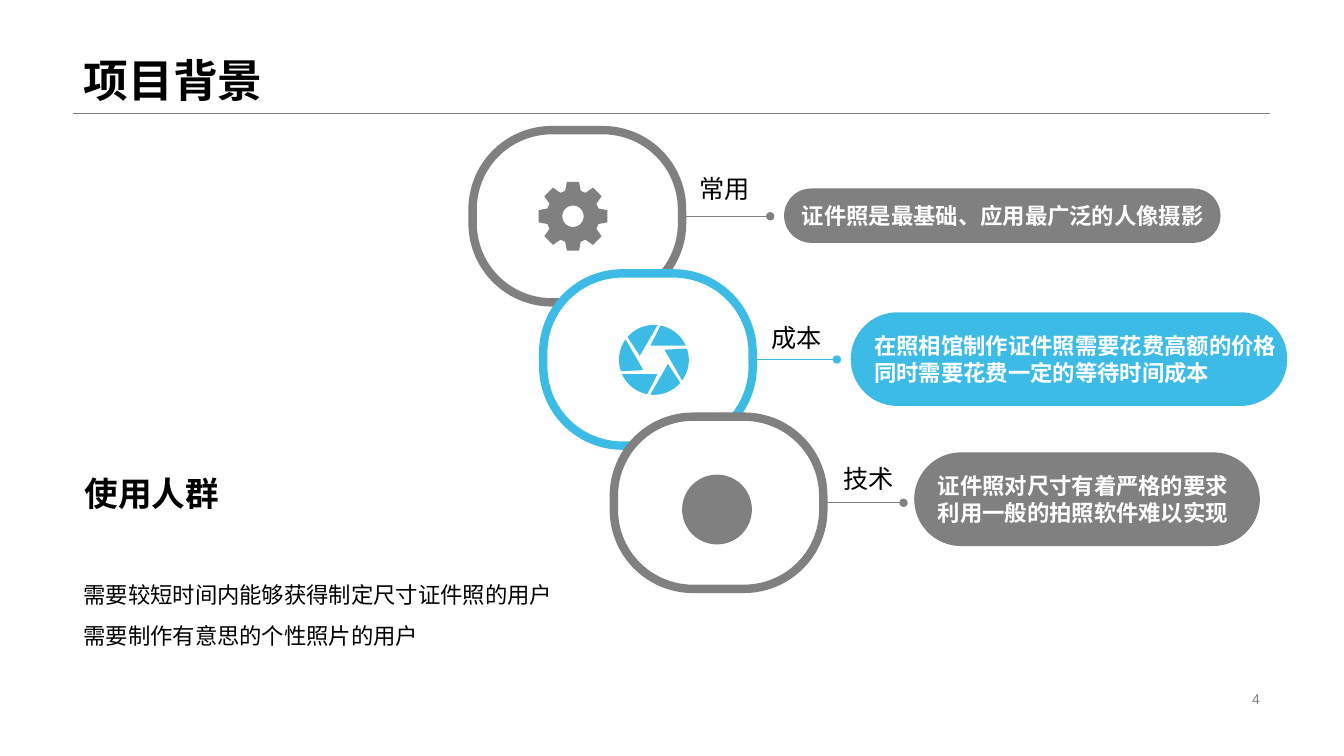
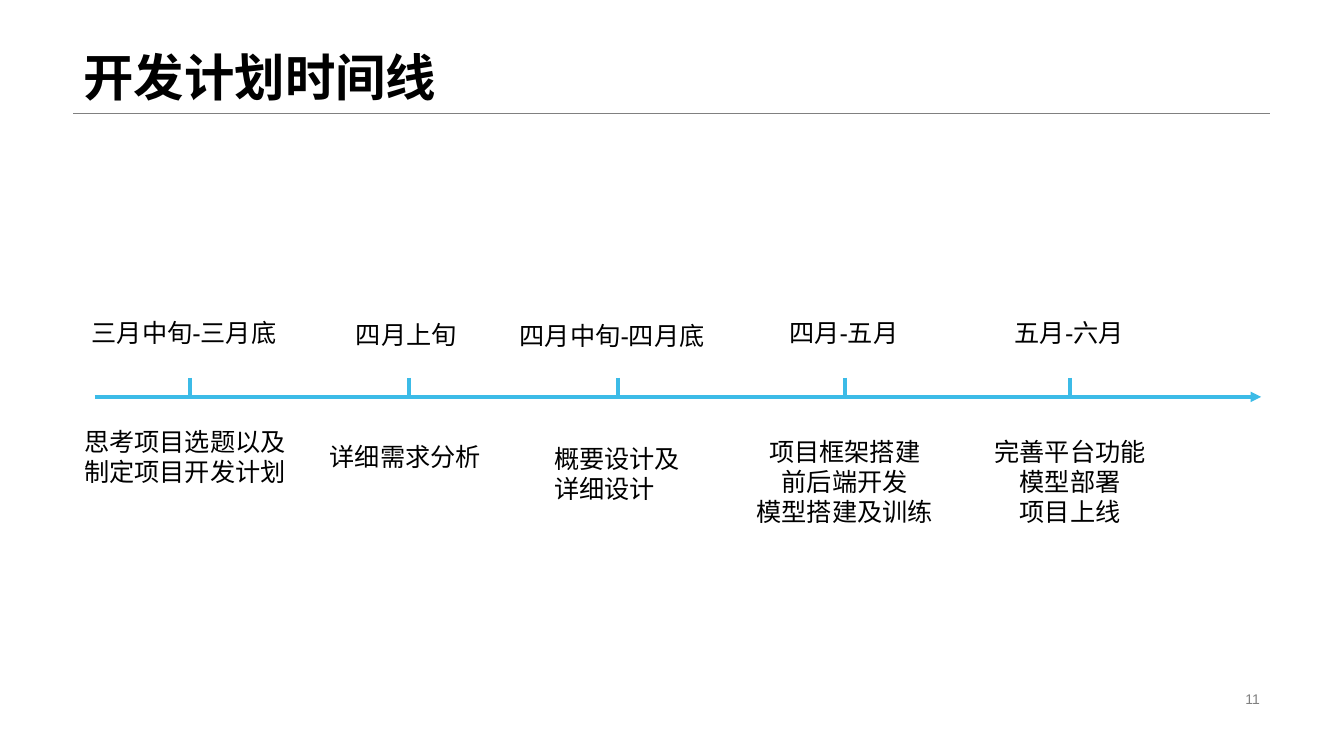
from dataclasses import dataclass
from math import cos, radians, sin

from lxml.etree import SubElement
from pptx import Presentation
from pptx.dml.color import RGBColor
from pptx.enum.lang import MSO_LANGUAGE_ID
from pptx.enum.shapes import MSO_CONNECTOR, MSO_SHAPE
from pptx.enum.text import MSO_ANCHOR, MSO_AUTO_SIZE, PP_ALIGN
from pptx.oxml.ns import qn
from pptx.util import Cm, Pt


# Theme: every colour and type size
@dataclass(frozen=True)
class Theme:
    font: str = "Arial"
    ink: RGBColor = RGBColor(0x00, 0x00, 0x00)
    paper: RGBColor = RGBColor(0xFF, 0xFF, 0xFF)
    grey: RGBColor = RGBColor(0x80, 0x80, 0x80)
    blue: RGBColor = RGBColor(0x3C, 0xBB, 0xE7)
    long_title: int = 36
    title: int = 32
    heading: int = 24
    label: int = 18
    body: int = 16
    number: int = 10


THEME = Theme()


def assign(target, formats):
    for name, value in formats.items():
        setattr(target, name, value)


def polar(radius, degrees):
    return radius * cos(radians(degrees)), radius * sin(radians(degrees))


def gear_outlines(radius=0.88, teeth=8):
    """Toothed rim and round hole, as points around the centre."""
    root, hole = 0.67, 0.27
    rim = [
        polar(distance, tooth * 360 / teeth + angle)
        for tooth in range(teeth)
        for distance, angle in ((root, -17), (radius, -10), (radius, 10), (root, 17))
    ]
    return [rim, [polar(hole, angle) for angle in range(0, 360, 10)]]


def aperture_outlines(radius=0.88, blades=6):
    """Shutter blades, each an arc of the rim drawn to an inner tip."""
    return [
        [polar(0.37, 196 + turn)] + [polar(radius, angle + turn) for angle in range(221, 277, 5)]
        for turn in range(0, 360, 360 // blades)
    ]


class Deck:
    """Holds the style and the slide being built; lengths are in centimetres."""

    CONTENT_LAYOUT, TITLE_LAYOUT = 1, 5
    LEFT, RIGHT, RULE_Y = 1.85, 32, 2.84

    def __init__(self, theme):
        self.theme = theme
        self.deck = Presentation()
        assign(self.deck, {"slide_width": Cm(33.87), "slide_height": Cm(19.05)})
        self.slide = None
        self.place(
            self.deck.slide_master.placeholders[0],
            (self.LEFT, 0, self.RIGHT - self.LEFT, self.RULE_Y),
        )

    # Shared helpers
    @staticmethod
    def place(element, box):
        assign(element, dict(zip(("left", "top", "width", "height"), map(Cm, box))))

    def set_lines(self, frame, lines, size, color=None, bold=False, frame_format=None, **paragraph_format):
        assign(frame, {"word_wrap": True, "auto_size": MSO_AUTO_SIZE.NONE} | (frame_format or {}))
        font_format = {
            "name": self.theme.font,
            "size": Pt(size),
            "bold": bold,
            "language_id": MSO_LANGUAGE_ID.SIMPLIFIED_CHINESE,
        }
        for index, line in enumerate(lines):
            paragraph = frame.paragraphs[0] if index == 0 else frame.add_paragraph()
            assign(paragraph, {"alignment": PP_ALIGN.LEFT} | paragraph_format)
            run = paragraph.add_run()
            run.text = line
            assign(run.font, font_format)
            run.font.color.rgb = self.theme.ink if color is None else color

    @staticmethod
    def paint(element, fill, outline=None, weight=0):
        element.shadow.inherit = False
        element.fill.solid()
        element.fill.fore_color.rgb = fill
        if outline is None:
            element.line.fill.background()
        else:
            element.line.color.rgb = outline
            element.line.width = Pt(weight)

    # Slide frame
    def new_slide(self, title, number, title_size, layout):
        first = self.slide is None
        self.slide = self.deck.slides.add_slide(self.deck.slide_layouts[layout])
        if first:
            rule = self.line((self.LEFT, self.RULE_Y), (self.RIGHT, self.RULE_Y), self.theme.grey, 0.25)
            self.deck.slide_master.shapes._spTree.append(rule._element)
        self.set_lines(
            self.slide.shapes.title.text_frame, [title], title_size, bold=True,
            frame_format={"vertical_anchor": MSO_ANCHOR.BOTTOM}, line_spacing=0.9,
        )
        self.text(
            (23.92, 17.32, 8.08, 0.58), [number], self.theme.number, color=self.theme.grey,
            frame_format={"vertical_anchor": MSO_ANCHOR.MIDDLE}, alignment=PP_ALIGN.RIGHT,
        )

    # Text
    def text(self, box, lines, size, **formats):
        block = self.slide.shapes.add_textbox(*map(Cm, box))
        self.set_lines(block.text_frame, lines, size, **formats)

    def body(self, box, lines):
        audience = self.slide.placeholders[1]
        self.place(audience, box)
        self.set_lines(
            audience.text_frame, lines, self.theme.body,
            frame_format={"vertical_anchor": MSO_ANCHOR.MIDDLE},
            line_spacing=1.5, space_before=Pt(0),
        )
        for paragraph in audience.text_frame.paragraphs:
            properties = paragraph._p.get_or_add_pPr()
            for name in ("marL", "indent"):
                properties.set(name, "0")
            SubElement(properties, qn("a:buNone"))

    # Lines and shapes
    def line(self, start, end, color, weight, tail=None):
        connector = self.slide.shapes.add_connector(MSO_CONNECTOR.STRAIGHT, *map(Cm, start + end))
        connector.line.color.rgb = color
        connector.line.width = Pt(weight)
        if tail:
            SubElement(connector.line._get_or_add_ln(), qn("a:tailEnd"), type=tail)
        SubElement(connector._element.spPr, qn("a:effectLst"))
        return connector

    def ring(self, box, color):
        ring = self.slide.shapes.add_shape(MSO_SHAPE.ROUNDED_RECTANGLE, *map(Cm, box))
        ring.adjustments[0] = 0.46
        self.paint(ring, self.theme.paper, color, 6)

    def pill(self, box, lines, color):
        pill = self.slide.shapes.add_shape(MSO_SHAPE.ROUNDED_RECTANGLE, *map(Cm, box))
        pill.adjustments[0] = 0.5
        self.paint(pill, color)
        self.set_lines(
            pill.text_frame, lines, self.theme.body, color=self.theme.paper, bold=True,
            frame_format={"word_wrap": False, "vertical_anchor": MSO_ANCHOR.MIDDLE},
        )

    def disc(self, center, color, radius=0.88):
        x, y = center
        box = (x - radius, y - radius, 2 * radius, 2 * radius)
        self.paint(self.slide.shapes.add_shape(MSO_SHAPE.OVAL, *map(Cm, box)), color)

    def icon(self, center, outlines, color):
        x, y = center
        contours = [[(Cm(x + dx), Cm(y + dy)) for dx, dy in outline] for outline in outlines]
        builder = self.slide.shapes.build_freeform(*contours[0][0])
        for index, (start, *rest) in enumerate(contours):
            if index:
                builder.move_to(*start)
            builder.add_line_segments(rest, close=True)
        self.paint(builder.convert_to_shape(), color)


# Project background: three linked reasons and the audience
def background_slide(deck):
    theme = deck.theme
    deck.new_slide("项目背景", "4", theme.title, deck.CONTENT_LAYOUT)
    reasons = [
        # label, its box, statement, its box, colour, icon centre, icon outlines
        ("常用", (17.37, 4.24, 1.83, 1.02), ["证件照是最基础、应用最广泛的人像摄影"],
         (19.76, 4.75, 11, 1.37), theme.grey, (14.44, 5.45), gear_outlines()),
        ("成本", (19.2, 8, 2.03, 1.02), ["在照相馆制作证件照需要花费高额的价格", "同时需要花费一定的等待时间成本"],
         (21.44, 7.87, 11, 2.36), theme.blue, (16.48, 9.07), aperture_outlines()),
        ("技术", (21.01, 11.56, 2.03, 1.02), ["证件照对尺寸有着严格的要求", "利用一般的拍照软件难以实现"],
         (23.04, 11.4, 8.71, 2.36), theme.grey, (18.07, 12.84), None),
    ]
    ring_width, ring_height = 5.28, 4.34
    for step, (label, label_box, statement, pill_box, color, center, outlines) in enumerate(reasons):
        ring_left, ring_top = 11.91 + 1.78 * step, 3.28 + 3.61 * step
        link_y, link_shift = ring_top + ring_height / 2, 1.68 * step
        deck.line((16.76 + link_shift, link_y), (19.41 + link_shift, link_y), color, 0.5, "oval")
        deck.ring((ring_left, ring_top, ring_width, ring_height), color)
        if outlines:
            deck.icon(center, outlines, color)
        else:
            deck.disc(center, color)
        deck.pill(pill_box, statement, color)
        deck.text(label_box, [label], theme.label)

    deck.text(
        (1.88, 10.69, 11.81, 2.36), ["使用人群"], theme.heading, bold=True,
        frame_format={"vertical_anchor": MSO_ANCHOR.BOTTOM},
    )
    deck.body(
        (1.85, 13.16, 14.02, 4.34),
        ["需要较短时间内能够获得制定尺寸证件照的用户", "需要制作有意思的个性照片的用户"],
    )


# Development plan: periods above the axis, tasks below it
def timeline_slide(deck):
    theme = deck.theme
    deck.new_slide("开发计划时间线", "11", theme.long_title, deck.TITLE_LAYOUT)
    axis_y, tick_height = 10, 0.48
    deck.line((2.39, axis_y), (31.78, axis_y), theme.blue, 2.5, "triangle")
    stages = [
        # tick x, period, its top and width, tasks, their top and width, alignment
        (4.78, "三月中旬-三月底", 7.87, 5.44, ["思考项目选题以及制定项目开发计划"], 10.62, 5.82, PP_ALIGN.LEFT),
        (10.31, "四月上旬", 7.92, 3.18, ["详细需求分析"], 11, 4.5, PP_ALIGN.LEFT),
        (15.57, "四月中旬-四月底", 7.95, 5.44, ["概要设计及详细设计"], 11.05, 3.71, PP_ALIGN.LEFT),
        (21.29, "四月-五月", 7.87, 3.3, ["项目框架搭建", "前后端开发", "模型搭建及训练"], 10.87, 5.16, PP_ALIGN.CENTER),
        (26.97, "五月-六月", 7.87, 3.3, ["完善平台功能", "模型部署", "项目上线"], 10.87, 5.16, PP_ALIGN.CENTER),
    ]
    for x, period, period_top, period_width, tasks, task_top, task_width, alignment in stages:
        deck.line((x, axis_y - tick_height), (x, axis_y), theme.blue, 3)
        deck.text((x - period_width / 2, period_top, period_width, 1.8), [period], theme.label)
        deck.text(
            (x - task_width / 2, task_top, task_width, 2.57), tasks, theme.label, alignment=alignment,
        )


def main():
    deck = Deck(THEME)
    background_slide(deck)
    timeline_slide(deck)
    deck.deck.save("out.pptx")


if __name__ == "__main__":
    main()
